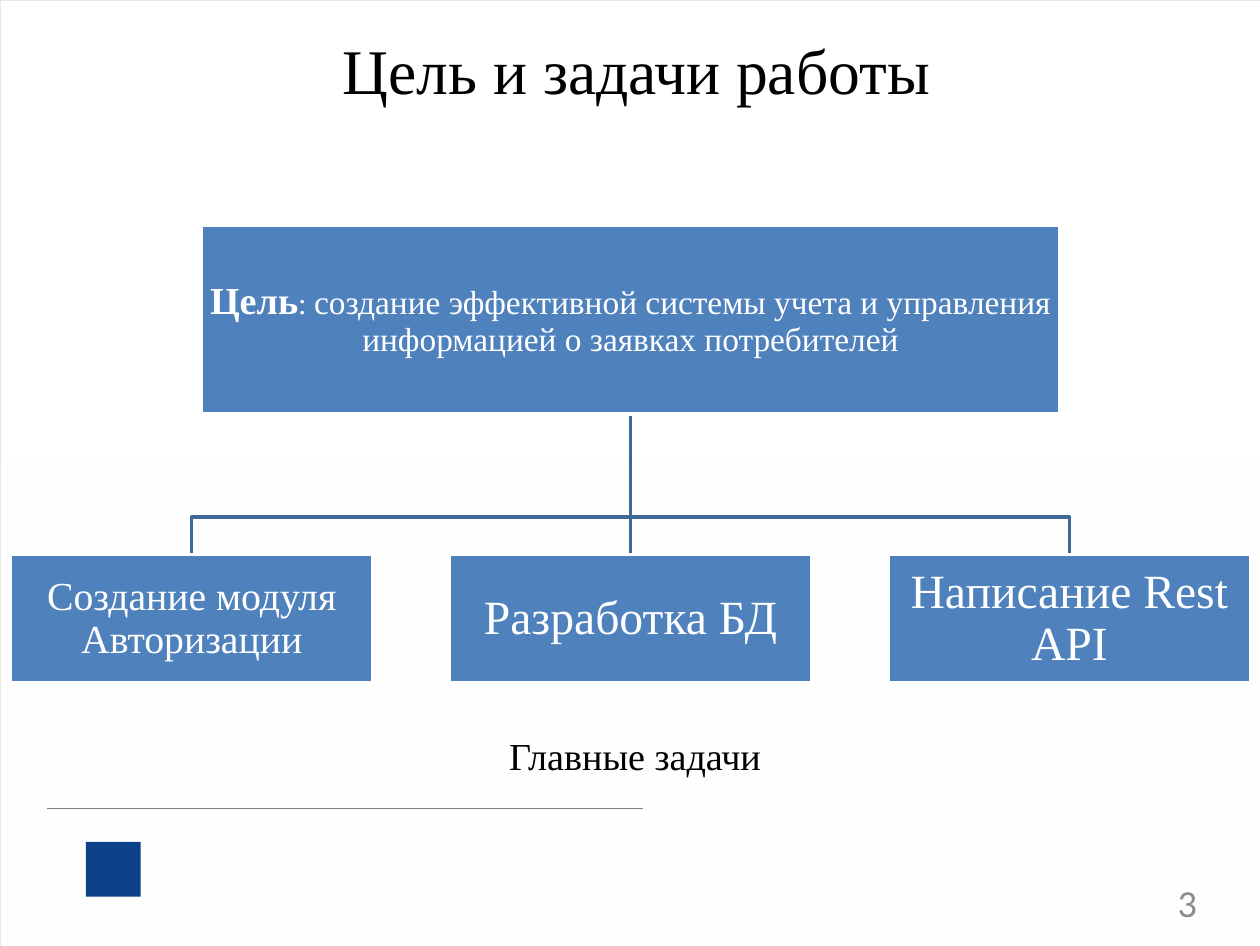
from pptx import Presentation
from pptx.dml.color import RGBColor
from pptx.enum.shapes import MSO_CONNECTOR as CONN, MSO_SHAPE as SHAPE
from pptx.enum.text import MSO_ANCHOR as ANCHOR, MSO_AUTO_SIZE as AUTO, PP_ALIGN as ALIGN
from pptx.oxml.ns import qn
from pptx.util import Inches, Pt
from lxml import etree

TITLE = "Цель и задачи работы"
# Runs are (text, size, bold)
GOAL = [("Цель", 24, True), (": ", 19, False),
        ("создание эффективной системы учета и управления информацией о заявках потребителей", 21, False)]
TASKS = [("Создание модуля Авторизации", 25), ("Разработка БД", 30), ("Написание Rest API", 30)]
CAPTION = "Главные задачи"
PAGE = "3"

THEME = {
    "serif": "Times New Roman", "sans": "Calibri",
    "title": 40, "caption": 24, "page": 24,
    "black": "000000", "white": "FFFFFF", "panel": "FEFEFE", "frame": "E7E7E8",
    "box": "4F81BD", "branch": "3F6797", "rule": "808080", "grey": "8C8C8C", "mark": "0A4188",
}

SLIDE_W, SLIDE_H = 11.01, 8.27
GOAL_BOX = (1.76, 1.97, 7.5, 1.65)
TASK_LEFT, TASK_TOP, TASK_W, TASK_H, TASK_STEP = 0.09, 4.85, 3.17, 1.12, 3.835
BUS_Y = 4.52


def rgb(name):
    return RGBColor.from_string(THEME[name])


def paint(sp, fill=None, line=None, width=1):
    """Give a shape a flat fill and outline; None leaves either one out."""
    sp.shadow.inherit = False
    if fill:
        sp.fill.solid()
        sp.fill.fore_color.rgb = rgb(fill)
    else:
        sp.fill.background()
    if line:
        sp.line.color.rgb = rgb(line)
        sp.line.width = Pt(width)
    else:
        sp.line.fill.background()


def add_rect(shapes, box, **look):
    sp = shapes.add_shape(SHAPE.RECTANGLE, *map(Inches, box))
    paint(sp, **look)
    return sp


def add_line(shapes, start, end, color, width):
    sp = shapes.add_connector(CONN.STRAIGHT, *map(Inches, start + end))
    sp.line.color.rgb = rgb(color)
    sp.line.width = Pt(width)
    etree.SubElement(sp._element.spPr, qn("a:effectLst"))


def add_branch(shapes, points):
    builder = shapes.build_freeform(*map(Inches, points[0]))
    builder.add_line_segments([tuple(map(Inches, pt)) for pt in points[1:]], close=False)
    paint(builder.convert_to_shape(), line="branch", width=2)


def write(sp, runs, color, font="serif", align=ALIGN.CENTER, inset=0.0, spacing=1.0, **frame):
    """Fill a one-paragraph text frame with (text, size, bold) runs."""
    tf = sp.text_frame
    margins = {f"margin_{side}": Inches(inset) for side in ("left", "right", "top", "bottom")}
    settings = {"word_wrap": True, "auto_size": AUTO.NONE,
                "vertical_anchor": ANCHOR.MIDDLE} | margins | frame
    for name, value in settings.items():
        setattr(tf, name, value)
    p = tf.paragraphs[0]
    p.alignment, p.line_spacing = align, spacing
    for text, size, bold in runs:
        r = p.add_run()
        r.text = text
        for name, value in {"name": THEME[font], "size": Pt(size), "bold": bold}.items():
            setattr(r.font, name, value)
        r.font.color.rgb = rgb(color)


def add_box(shapes, box, runs):
    sp = add_rect(shapes, box, fill="box", line="white", width=2)
    write(sp, runs, "white", inset=0.02, spacing=0.9)


def add_background(shapes):
    add_rect(shapes, (0, 4.03, SLIDE_W, SLIDE_H - 4.03), fill="panel")
    add_rect(shapes, (0, 0, SLIDE_W, SLIDE_H), line="frame", width=0.5)
    add_rect(shapes, (0.75, 7.36, 0.48, 0.48), fill="mark")
    add_line(shapes, (0.41, 7.07), (5.62, 7.07), "rule", 0.57)


def add_tree(shapes):
    left, top, width, height = GOAL_BOX
    root = (left + width / 2, top + height)
    task_lefts = [TASK_LEFT + i * TASK_STEP for i in range(len(TASKS))]
    tips = [x + TASK_W / 2 for x in task_lefts]
    for x in (tips[0], tips[-1]):
        add_branch(shapes, [root, (root[0], BUS_Y), (x, BUS_Y), (x, TASK_TOP)])
    add_line(shapes, root, (root[0], TASK_TOP), "branch", 2)
    add_box(shapes, GOAL_BOX, GOAL)
    for x, (text, size) in zip(task_lefts, TASKS):
        add_box(shapes, (x, TASK_TOP, TASK_W, TASK_H), [(text, size, False)])


def add_title(title):
    for name, value in zip(("left", "top", "width", "height"), (0.45, 0.17, 10.22, 0.87)):
        setattr(title, name, Inches(value))
    write(title, [(TITLE, THEME["title"], False)], "black")


def add_labels(shapes):
    page = shapes.add_textbox(*map(Inches, (7.93, 7.69, 2.53, 0.41)))
    write(page, [(PAGE, THEME["page"], False)], "grey", font="sans",
          align=ALIGN.RIGHT, vertical_anchor=ANCHOR.TOP)
    caption = shapes.add_textbox(*map(Inches, (4.35, 6.35, 2.43, 0.5)))
    write(caption, [(CAPTION, THEME["caption"], False)], "black", align=ALIGN.LEFT, inset=0.1,
          word_wrap=False, margin_top=Inches(0.05), margin_bottom=Inches(0.05),
          vertical_anchor=ANCHOR.TOP)


def main():
    prs = Presentation()
    prs.slide_width, prs.slide_height = Inches(SLIDE_W), Inches(SLIDE_H)
    shapes = prs.slides.add_slide(prs.slide_layouts[5]).shapes
    add_title(shapes.title)
    add_background(shapes)
    add_tree(shapes)
    add_labels(shapes)
    prs.save("out.pptx")


if __name__ == "__main__":
    main()
